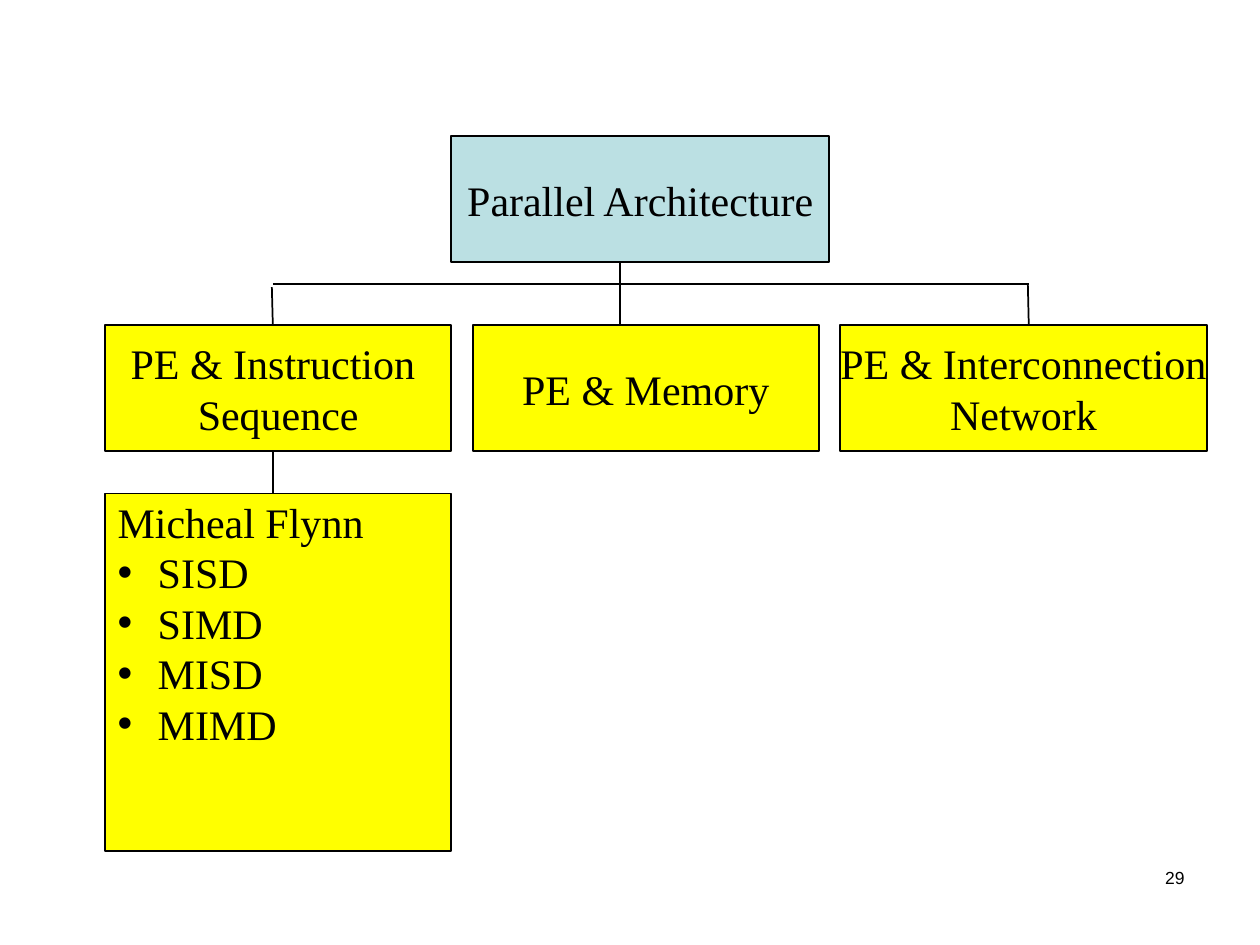
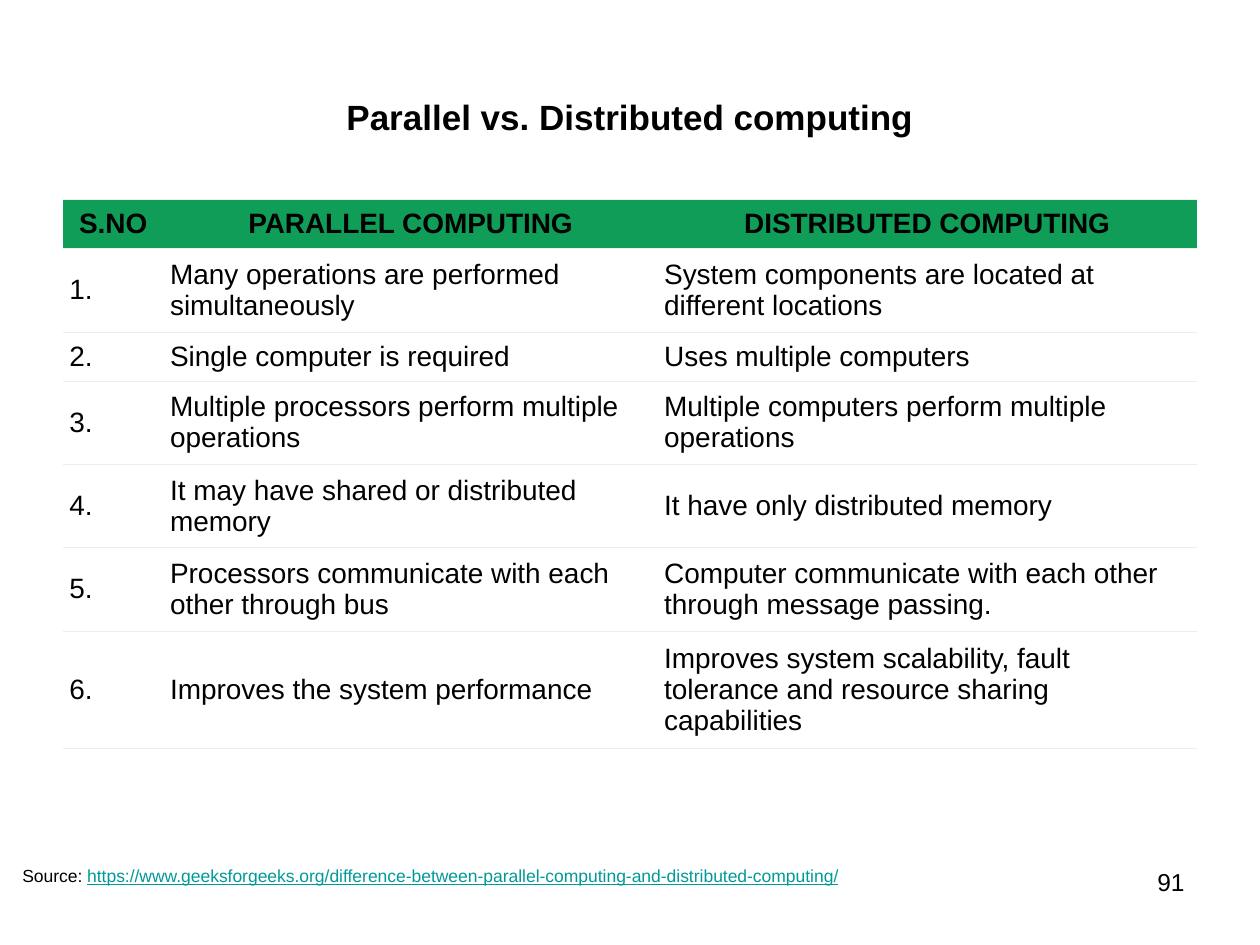
from lxml.etree import SubElement
from pptx import Presentation
from pptx.dml.color import RGBColor
from pptx.enum.shapes import MSO_CONNECTOR, MSO_SHAPE
from pptx.enum.text import MSO_ANCHOR, PP_ALIGN
from pptx.oxml import parse_xml
from pptx.oxml.ns import nsdecls, qn
from pptx.util import Cm, Pt

BLACK, WHITE = "000000", "FFFFFF"
ROOT_BLUE, BRANCH_YELLOW = "BBE0E3", "FFFF00"
HEADER_GREEN, RULE_GREY, LINK_TEAL = "0F9D58", "EDEDED", "009999"

TREE_FONT = {"name": "Times New Roman", "size": Pt(24)}
TITLE_FONT = {"name": "Arial", "size": Pt(20), "bold": True}
HEADER_FONT = {"name": "Arial", "size": Pt(16), "bold": True}
BODY_FONT = {"name": "Arial", "size": Pt(16), "bold": False}
SOURCE_FONT = {"name": "Arial", "size": Pt(10)}


def paint(fill, colour):
    fill.solid()
    fill.fore_color.rgb = RGBColor.from_string(colour)


def write(frame, lines, font_format, align=PP_ALIGN.LEFT, **frame_format):
    """Fill a text frame or cell with one black paragraph per line."""
    for attribute, value in frame_format.items():
        setattr(frame, attribute, value)
    text = getattr(frame, "text_frame", frame)
    for index, line in enumerate(lines):
        paragraph = text.add_paragraph() if index else text.paragraphs[0]
        paragraph.alignment = align
        run = paragraph.add_run()
        run.text = line
        for attribute, value in font_format.items():
            setattr(run.font, attribute, value)
        paint(run.font.fill, BLACK)


deck = Presentation()
deck.slide_width, deck.slide_height = Cm(25.4), Cm(19.05)
blank = deck.slide_layouts[6]
tree_slide, comparison_slide = [deck.slides.add_slide(blank) for _ in range(2)]

for slide, number, size in ((tree_slide, "29", 10), (comparison_slide, "91", 14)):
    page_number = slide.shapes.add_textbox(Cm(18.2), Cm(17.35), Cm(5.93), Cm(1.32))
    write(page_number.text_frame, [number], {"name": "Arial", "size": Pt(size)},
          PP_ALIGN.RIGHT, word_wrap=True)

# Slide 1: classification tree
BRANCH_TOP, BRANCH_HEIGHT = 6.56, 2.54
CENTRED = {"align": PP_ALIGN.CENTER, "vertical_anchor": MSO_ANCHOR.MIDDLE,
           "word_wrap": False}
LISTED = {"vertical_anchor": MSO_ANCHOR.TOP, "word_wrap": True, "margin_top": Cm(0.06)}
flynn_classes = ["SISD", "SIMD", "MISD", "MIMD"]
tree_boxes = [
    (9.1, 2.75, 7.62, BRANCH_HEIGHT, ROOT_BLUE, ["Parallel Architecture"], CENTRED),
    (2.12, BRANCH_TOP, 6.98, BRANCH_HEIGHT, BRANCH_YELLOW,
     ["PE & Instruction ", "Sequence"], CENTRED),
    (9.53, BRANCH_TOP, 6.98, BRANCH_HEIGHT, BRANCH_YELLOW, ["PE & Memory"], CENTRED),
    (16.93, BRANCH_TOP, 7.41, BRANCH_HEIGHT, BRANCH_YELLOW,
     ["PE & Interconnection", "Network"], CENTRED),
    (2.12, 9.95, 6.98, 7.2, BRANCH_YELLOW, ["Micheal Flynn"] + flynn_classes, LISTED),
]
for left, top, width, height, colour, lines, layout in tree_boxes:
    box = tree_slide.shapes.add_shape(
        MSO_SHAPE.RECTANGLE, Cm(left), Cm(top), Cm(width), Cm(height))
    box.shadow.inherit = False
    paint(box.fill, colour)
    paint(box.line.fill, BLACK)
    box.line.width = Pt(1)
    write(box.text_frame, lines, TREE_FONT, **layout)
    if layout is LISTED:
        for paragraph in box.text_frame.paragraphs[1:]:
            properties = paragraph._p.get_or_add_pPr()
            properties.set("marL", str(Cm(0.81)))
            properties.set("indent", str(-Cm(0.81)))
            SubElement(properties, qn("a:buFont"), typeface="Arial")
            SubElement(properties, qn("a:buChar"), char="•")

branch_lines = [
    (12.5, 5.29, 12.5, BRANCH_TOP),
    (5.48, 5.79, 5.5, BRANCH_TOP),
    (20.72, 5.73, 20.74, BRANCH_TOP),
    (5.5, BRANCH_TOP + BRANCH_HEIGHT, 5.5, 9.95),
    (5.5, 5.72, 20.74, 5.72),
]
for ends in branch_lines:
    branch = tree_slide.shapes.add_connector(
        MSO_CONNECTOR.STRAIGHT, *[Cm(end) for end in ends])
    paint(branch.line.fill, BLACK)
    branch.line.width = Pt(1)
    SubElement(branch._element.spPr, qn("a:effectLst"))

# Slide 2: comparison table
title = comparison_slide.shapes.add_textbox(Cm(1.27), Cm(0.76), Cm(22.86), Cm(3.18))
write(title.text_frame, ["Parallel vs. Distributed computing"], TITLE_FONT,
      PP_ALIGN.CENTER, vertical_anchor=MSO_ANCHOR.MIDDLE, word_wrap=True)

header = ("S.NO", "PARALLEL COMPUTING", "DISTRIBUTED COMPUTING")
differences = [
    ("Many operations are performed simultaneously",
     "System components are located at different locations"),
    ("Single computer is required", "Uses multiple computers"),
    ("Multiple processors perform multiple operations",
     "Multiple computers perform multiple operations"),
    ("It may have shared or distributed memory", "It have only distributed memory"),
    ("Processors communicate with each other through bus",
     "Computer communicate with each other through message passing."),
    ("Improves the system performance",
     "Improves system scalability, fault tolerance and resource sharing capabilities"),
]
rows = [header] + [(f"{n}.", *pair) for n, pair in enumerate(differences, 1)]
column_widths = (2.03, 9.96, 10.87)
row_heights = (0.99, 1.68, 0.99, 1.68, 1.68, 1.68, 2.36)

comparison = comparison_slide.shapes.add_table(
    len(rows), len(header), Cm(1.27), Cm(4.02),
    Cm(sum(column_widths)), Cm(sum(row_heights))).table
comparison.horz_banding = False
for column, width in zip(comparison.columns, column_widths):
    column.width = Cm(width)

for row_index, (row, height) in enumerate(zip(rows, row_heights)):
    comparison.rows[row_index].height = Cm(height)
    is_header = row_index == 0
    side, edge = (0.08, 0.08) if is_header else (0.13, 0.05)
    for column_index, words in enumerate(row):
        cell = comparison.cell(row_index, column_index)
        write(cell, [words], HEADER_FONT if is_header else BODY_FONT,
              PP_ALIGN.CENTER if is_header else PP_ALIGN.LEFT,
              vertical_anchor=MSO_ANCHOR.MIDDLE,
              margin_left=Cm(side), margin_right=Cm(side),
              margin_top=Cm(edge), margin_bottom=Cm(edge))
        cell_properties = cell._tc.get_or_add_tcPr()
        for border in ("lnL", "lnR", "lnT", "lnB"):
            is_rule = border in ("lnT", "lnB")
            ink = (f'<a:solidFill><a:srgbClr val="{RULE_GREY}"/></a:solidFill>'
                   if is_rule else "<a:noFill/>")
            cell_properties.append(parse_xml(
                f'<a:{border} {nsdecls("a")} w="{Pt(0.38)}">{ink}</a:{border}>'))
        paint(cell.fill, HEADER_GREEN if is_header else WHITE)

source = comparison_slide.shapes.add_textbox(Cm(0.2), Cm(17.32), Cm(17.12), Cm(0.69))
write(source.text_frame, ["Source: "], SOURCE_FONT, word_wrap=False)
address = source.text_frame.paragraphs[0].add_run()
address.text = ("https://www.geeksforgeeks.org/"
                "difference-between-parallel-computing-and-distributed-computing/")
for attribute, value in {**SOURCE_FONT, "underline": True}.items():
    setattr(address.font, attribute, value)
paint(address.font.fill, LINK_TEAL)

deck.save("out.pptx")
